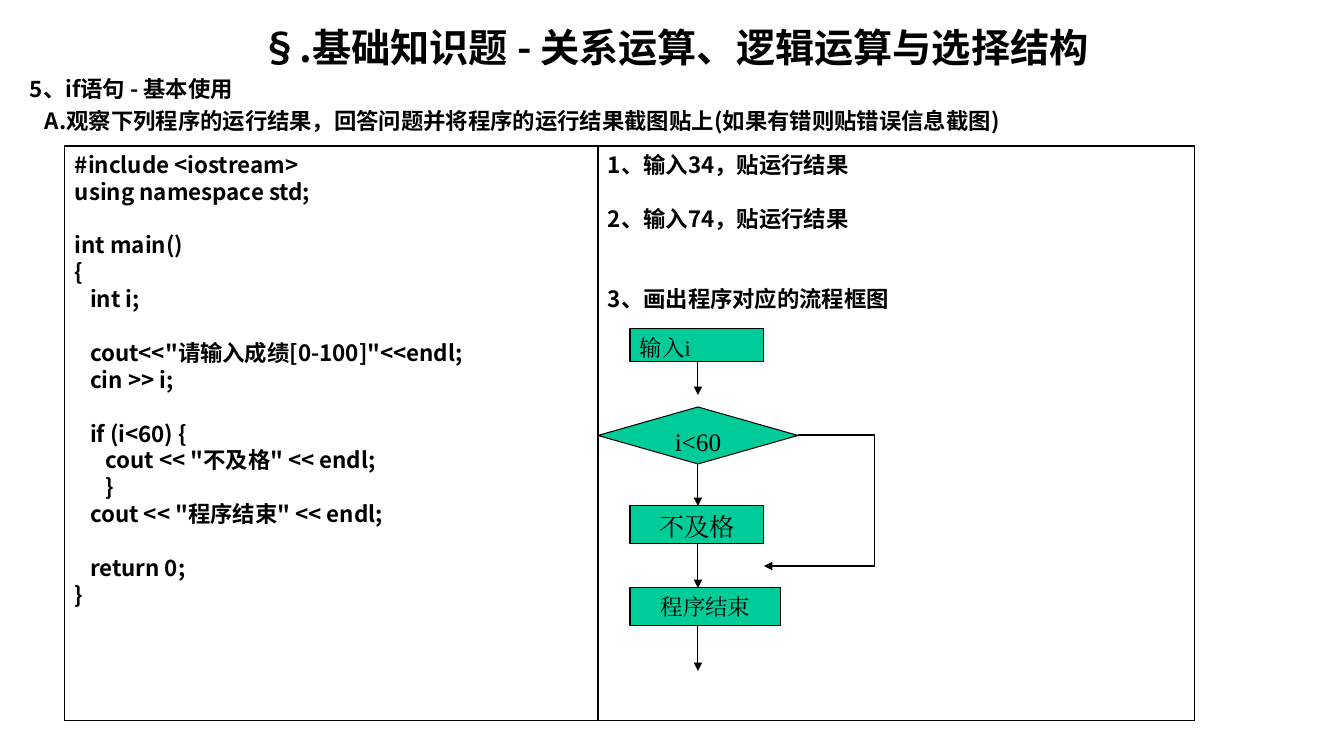
from lxml.etree import SubElement
from pptx import Presentation
from pptx.dml.color import RGBColor
from pptx.enum.shapes import MSO_CONNECTOR, MSO_SHAPE
from pptx.enum.text import MSO_ANCHOR, PP_ALIGN
from pptx.oxml.ns import qn
from pptx.util import Emu, Pt

COLORS = {"ink": "000000", "step": "00CC99"}
SANS, SERIF = "Noto Sans CJK SC", "Times New Roman"
LINE = 1.2  # line height of the bold text, in font sizes


def px(n):
    return Emu(round(n * 914400 / 100.8))


def rgb(name):
    return RGBColor.from_string(COLORS[name])


def write(p, text, size=16, font=SANS, bold=True, align=PP_ALIGN.LEFT,
          before=0, indent=0, spacing=None):
    p.alignment = align
    if before:
        p.space_before = Pt(before)
    if spacing:
        p.line_spacing = Pt(spacing)
    if indent:
        p._p.get_or_add_pPr().set("marL", str(px(indent)))
    r = p.add_run()
    r.text = text
    r.font.size, r.font.bold, r.font.name = Pt(size), bold, font
    r.font.color.rgb = rgb("ink")
    SubElement(r._r.get_or_add_rPr(), qn("a:ea"), typeface=font)


def next_paragraph(tf):
    return tf.add_paragraph() if tf.paragraphs[0].runs else tf.paragraphs[0]


class FlowSlide:
    def __init__(self, prs):
        self.s = prs.slides.add_slide(prs.slide_layouts[6])
        self.line_width = Pt(0.75)

    def frame(self, sp):
        tf = sp.text_frame
        tf.word_wrap = True
        tf.vertical_anchor = MSO_ANCHOR.TOP
        return tf

    def text_box(self, x, y, w, h):
        return self.frame(self.s.shapes.add_textbox(px(x), px(y), px(w), px(h)))

    def shape(self, kind, x, y, w, h, fill=None):
        sp = self.s.shapes.add_shape(kind, px(x), px(y), px(w), px(h))
        sp.shadow.inherit = False
        if fill:
            sp.fill.solid()
            sp.fill.fore_color.rgb = rgb(fill)
        else:
            sp.fill.background()
        sp.line.color.rgb = rgb("ink")
        sp.line.width = self.line_width
        return self.frame(sp)

    def panel(self, x, y, w, h, text, size=16):
        """Framed text; each empty line becomes space before the next one."""
        tf = self.shape(MSO_SHAPE.RECTANGLE, x, y, w, h)
        gap = 0
        for line in text.strip().split("\n"):
            if not line:
                gap += size * LINE
                continue
            write(next_paragraph(tf), line, size, before=gap, spacing=size * LINE)
            gap = 0

    def step(self, kind, x, y, w, h, text, size, align=PP_ALIGN.CENTER):
        tf = self.shape(kind, x, y, w, h, "step")
        write(tf.paragraphs[0], text, size, SERIF, False, align)

    def line(self, start, end, arrow=False):
        c = self.s.shapes.add_connector(
            MSO_CONNECTOR.STRAIGHT, *map(px, start + end))
        c.line.color.rgb = rgb("ink")
        c.line.width = self.line_width
        if arrow:
            SubElement(c.line._get_or_add_ln(), qn("a:tailEnd"), type="triangle")
        SubElement(c._element.spPr, qn("a:effectLst"))


CODE = """
#include <iostream>
using namespace std;

int main()
{
   int i;

   cout<<"请输入成绩[0-100]"<<endl;
   cin >> i;

   if (i<60) {
      cout << "不及格" << endl;
      }
   cout << "程序结束" << endl;

   return 0;
}
"""

QUESTIONS = """
1、输入34，贴运行结果

2、输入74，贴运行结果


3、画出程序对应的流程框图
"""


def main():
    prs = Presentation()
    prs.slide_width, prs.slide_height = px(1344), px(756)
    slide = FlowSlide(prs)

    # Title and task
    tf = slide.text_box(20, 18, 1309, 126)
    write(next_paragraph(tf), "§.基础知识题 - 关系运算、逻辑运算与选择结构",
          28, align=PP_ALIGN.CENTER, spacing=28 * LINE)
    for text, indent in [
        ("5、if语句 - 基本使用", 0),
        ("A.观察下列程序的运行结果，回答问题并将程序的运行结果截图贴上(如果有错则贴错误信息截图)", 15),
    ]:
        write(next_paragraph(tf), text, before=3.5, indent=indent, spacing=16 * LINE)

    # Program on the left, questions on the right
    slide.panel(65, 146, 1130, 575, CODE)
    slide.panel(598, 146, 597, 575, QUESTIONS)

    # Flowchart steps
    box, diamond = MSO_SHAPE.RECTANGLE, MSO_SHAPE.DIAMOND
    slide.step(box, 630, 329, 134, 33, "输入i", 16, PP_ALIGN.LEFT)
    slide.step(diamond, 598, 407, 200, 57, "i<60", 18)
    slide.step(box, 630, 506, 134, 38, "不及格", 18)
    slide.step(box, 630, 588, 151, 38, "程序结束", 16)

    # Downward flow
    axis = 698
    for top, bottom in [(362, 395), (464, 506), (544, 588), (626, 671)]:
        slide.line((axis, top), (axis, bottom), arrow=True)

    # Branch that skips the message
    branch = [(798, 435), (875, 435), (875, 566), (764, 566)]
    for start, end in zip(branch, branch[1:]):
        slide.line(start, end, arrow=end == branch[-1])

    prs.save("out.pptx")


if __name__ == "__main__":
    main()
